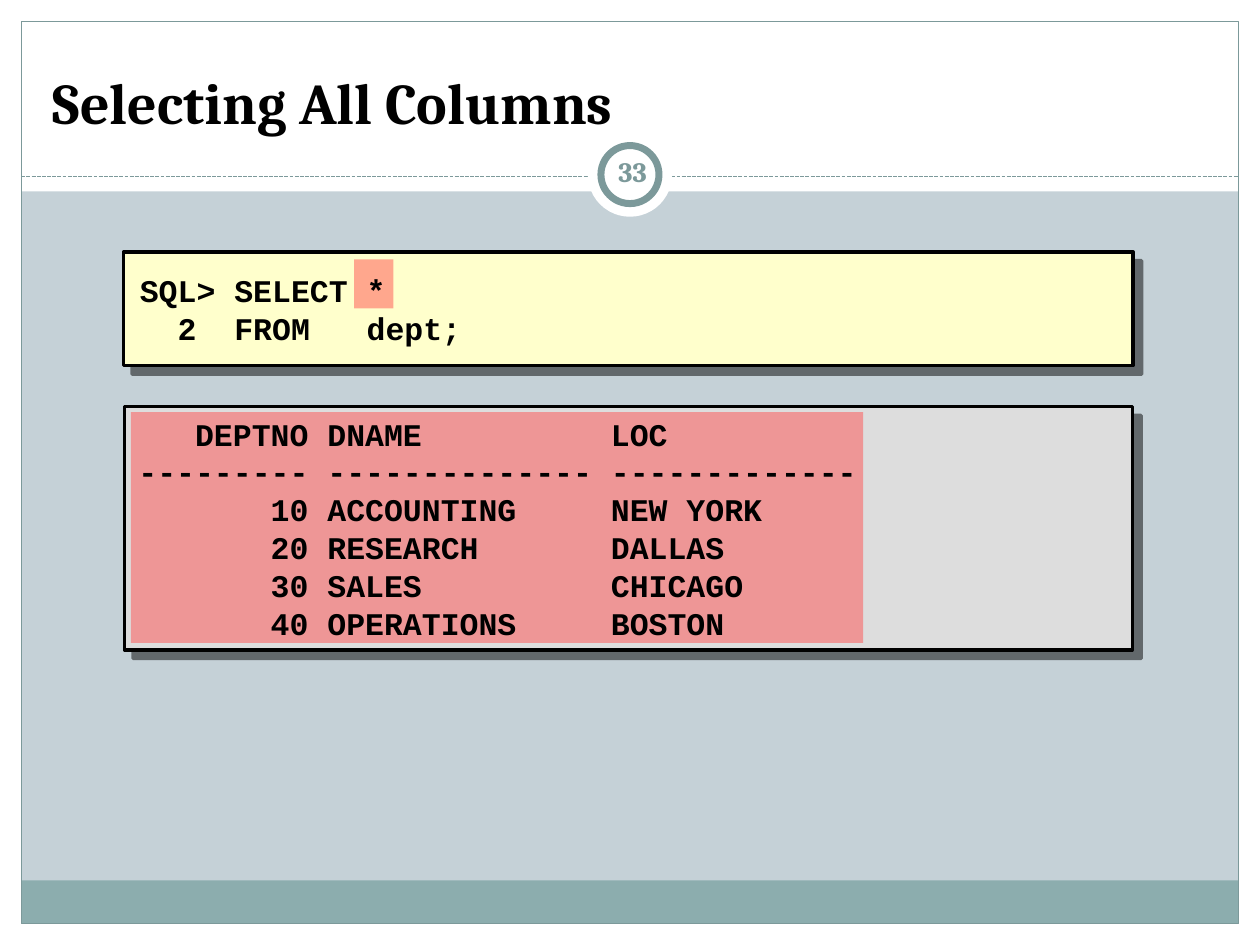
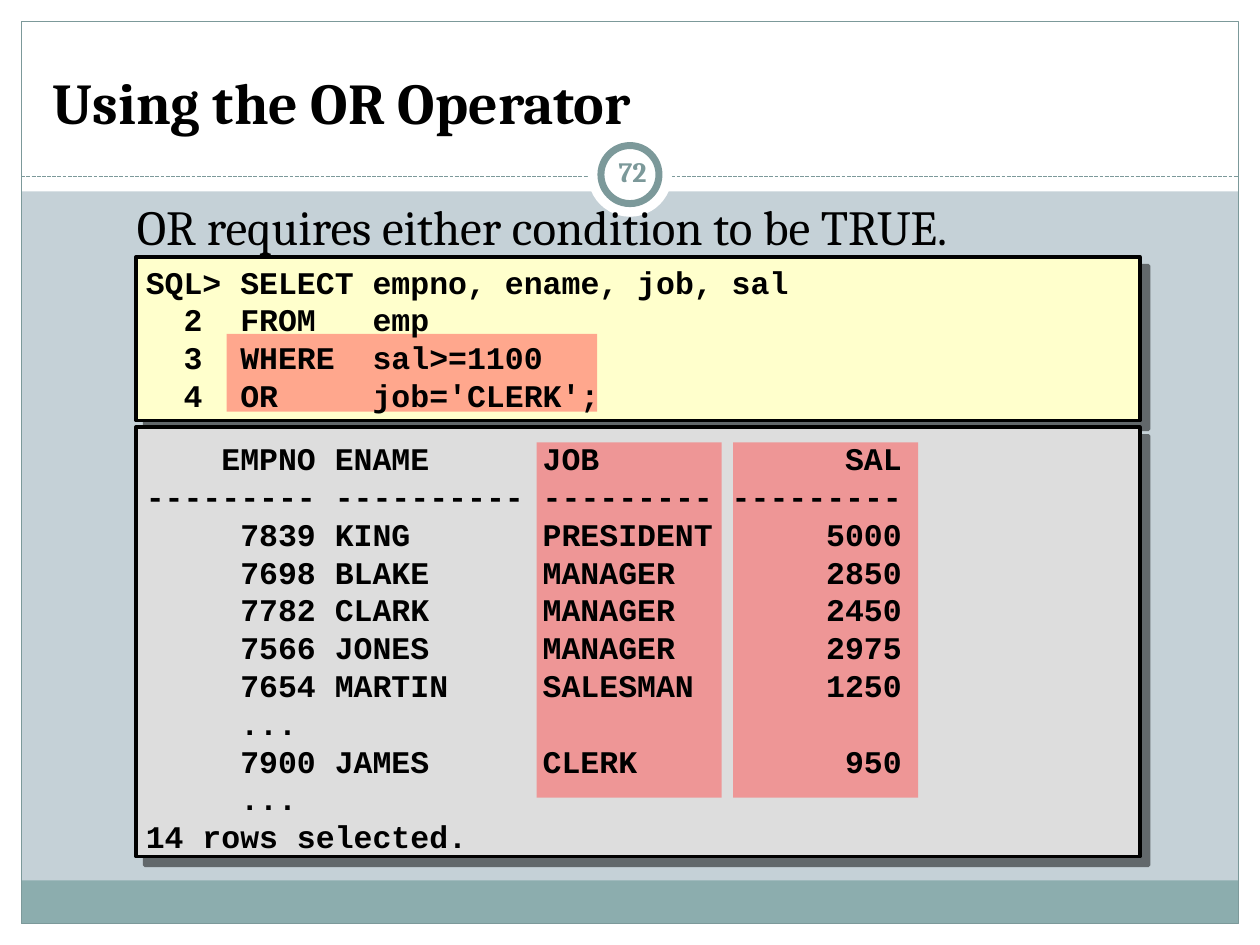
from dataclasses import dataclass

from lxml import etree
from pptx import Presentation
from pptx.dml.color import RGBColor
from pptx.enum.dml import MSO_LINE
from pptx.enum.shapes import MSO_CONNECTOR, MSO_SHAPE
from pptx.enum.text import MSO_ANCHOR, PP_ALIGN
from pptx.oxml.ns import qn
from pptx.util import Cm, Pt

RECTANGLE, ELLIPSE = MSO_SHAPE.RECTANGLE, MSO_SHAPE.OVAL
STRAIGHT, DASHED = MSO_CONNECTOR.STRAIGHT, MSO_LINE.SQUARE_DOT
TOP, MIDDLE, BOTTOM = MSO_ANCHOR.TOP, MSO_ANCHOR.MIDDLE, MSO_ANCHOR.BOTTOM
LEFT, CENTER = PP_ALIGN.LEFT, PP_ALIGN.CENTER

WIDTH, HEIGHT, MARGIN = 25.4, 19.05, 0.43
BADGE_X, BADGE_Y = WIDTH / 2, 3.52
CHARACTER = 0.381  # width of one listing character in cm


@dataclass(frozen=True)
class Theme:
    background: str = "C5D1D7"
    white: str = "FFFFFF"
    black: str = "000000"
    accent: str = "7C999A"
    footer: str = "8CADAE"
    code: str = "FFFFCC"
    result: str = "DDDDDD"
    highlight: str = "FF5050"
    serif: str = "Cambria"
    mono: str = "Courier New"
    title_size: int = 33
    body_size: int = 28
    listing_size: int = 18
    number_size: int = 16


class Deck:
    def __init__(self, theme):
        self.theme = theme
        self.presentation = Presentation()
        self.presentation.slide_width = Cm(WIDTH)
        self.presentation.slide_height = Cm(HEIGHT)
        self.slide = None

    def start_slide(self, title):
        theme = self.theme
        self.slide = self.presentation.slides.add_slide(self.presentation.slide_layouts[6])
        background = self.slide.background.fill
        background.solid()
        background.fore_color.rgb = RGBColor.from_string(theme.background)

        for band in ((0, HEIGHT - MARGIN, WIDTH, MARGIN), (0, 0, WIDTH, 3.86),
                     (0, 0, MARGIN, HEIGHT), (WIDTH - MARGIN, 0, MARGIN, HEIGHT)):
            self.shape(band, theme.white)
        inner_width = WIDTH - 2 * MARGIN
        self.shape((MARGIN, 17.75, inner_width, 0.87), theme.footer)
        self.shape((MARGIN, MARGIN, inner_width, HEIGHT - 2 * MARGIN),
                   line=theme.accent, weight=0.75)
        self.dashed_rule(3.56)
        self.badge_circle(1.7)
        self.badge_circle(1.17, theme.accent, 4)
        self.text((0.84, 0.64, 23.7, 2.11), [title], theme.title_size,
                  bold=True, anchor=BOTTOM, insets=(0.22, 0))

    def shape(self, box, fill=None, line=None, weight=1, kind=RECTANGLE):
        shape = self.slide.shapes.add_shape(kind, *map(Cm, box))
        shape.shadow.inherit = False
        if fill:
            shape.fill.solid()
            shape.fill.fore_color.rgb = RGBColor.from_string(fill)
        else:
            shape.fill.background()
        if line:
            shape.line.color.rgb = RGBColor.from_string(line)
            shape.line.width = Pt(weight)
        else:
            shape.line.fill.background()
        return shape

    def badge_circle(self, diameter, line=None, weight=1):
        box = (BADGE_X - diameter / 2, BADGE_Y - diameter / 2, diameter, diameter)
        self.shape(box, self.theme.white, line, weight, ELLIPSE)

    def dashed_rule(self, y):
        rule = self.slide.shapes.add_connector(
            STRAIGHT, Cm(MARGIN), Cm(y), Cm(WIDTH - MARGIN), Cm(y))
        rule.line.color.rgb = RGBColor.from_string(self.theme.accent)
        rule.line.width = Pt(0.75)
        rule.line.dash_style = DASHED
        etree.SubElement(rule._element.spPr, qn("a:effectLst"))

    def panel(self, box, fill):
        """Outlined box with a hard shadow to the lower right."""
        panel = self.shape(box, fill, self.theme.black, 2)
        effects = panel._element.spPr.find(qn("a:effectLst"))
        shadow = etree.SubElement(effects, qn("a:outerShdw"), blurRad="0",
                                  dist=str(Pt(7.1)), dir="2700000", rotWithShape="0")
        color = etree.SubElement(shadow, qn("a:srgbClr"), val=self.theme.black)
        etree.SubElement(color, qn("a:alpha"), val="50000")

    def highlight(self, *box):
        shape = self.shape(box, self.theme.highlight)
        color = shape._element.spPr.find(qn("a:solidFill"))[0]
        etree.SubElement(color, qn("a:alpha"), val="50000")

    def text(self, box, lines, size, font=None, color=None, bold=False, anchor=TOP,
             align=LEFT, insets=(0.25, 0.13), stops=(), indent=0, spacing=None):
        frame = self.slide.shapes.add_textbox(*map(Cm, box)).text_frame
        frame.word_wrap = True
        frame.vertical_anchor = anchor
        frame.margin_left = frame.margin_right = Cm(insets[0])
        frame.margin_top = frame.margin_bottom = Cm(insets[1])
        for index, line in enumerate(lines):
            paragraph = frame.paragraphs[0] if index == 0 else frame.add_paragraph()
            paragraph.text = line
            if "\t" in line:
                # An ellipsis row starts where the four-digit numbers start.
                self.tab_stops(paragraph, [("l", 5)] if line == "\t..." else stops)
            if indent:
                paragraph._p.get_or_add_pPr().set("marL", str(Cm(indent)))
            if spacing:
                paragraph.line_spacing = spacing
            paragraph.alignment = align
            paragraph.font.name = font or self.theme.serif
            paragraph.font.size = Pt(size)
            paragraph.font.bold = bold
            paragraph.font.color.rgb = RGBColor.from_string(color or self.theme.black)

    @staticmethod
    def tab_stops(paragraph, stops):
        """Set tab stops given as (alignment, character column)."""
        tabs = etree.SubElement(paragraph._p.get_or_add_pPr(), qn("a:tabLst"))
        for alignment, column in stops:
            etree.SubElement(tabs, qn("a:tab"), pos=str(Cm(column * CHARACTER)), algn=alignment)

    def listing(self, box, lines, stops, anchor=MIDDLE):
        self.text(box, lines, self.theme.listing_size, self.theme.mono,
                  bold=True, anchor=anchor, stops=stops)

    def number(self, number):
        self.text((12.12, 2.84, 1.27, 1.22), [str(number)], self.theme.number_size,
                  color=self.theme.accent, bold=True, anchor=MIDDLE, align=CENTER,
                  insets=(0.13, 0.13))


CODE_STOPS = [("r", 3), ("l", 5), ("l", 12)]


def build_all_columns(deck):
    deck.start_slide("Selecting All Columns")
    deck.panel((2.51, 8.2, 20.32, 4.9), deck.theme.result)
    deck.panel((2.49, 5.08, 20.35, 2.29), deck.theme.code)
    deck.highlight(7.14, 5.23, 0.79, 0.99)
    deck.highlight(2.64, 8.31, 14.76, 4.65)
    deck.listing((2.54, 8.23, 20.24, 4.83), [
        "\tDEPTNO\tDNAME\tLOC",
        "--------- -------------- -------------",
        "\t10\tACCOUNTING\tNEW YORK",
        "\t20\tRESEARCH\tDALLAS",
        "\t30\tSALES\tCHICAGO",
        "\t40\tOPERATIONS\tBOSTON",
    ], [("r", 9), ("l", 10), ("l", 25)], anchor=TOP)
    deck.listing((2.57, 5.05, 20.22, 2.36),
                 ["SQL> SELECT *", "\t2\tFROM\tdept;"], CODE_STOPS)
    deck.number(33)


def build_or_operator(deck):
    deck.start_slide("Using the OR Operator")
    deck.panel((2.74, 5.18, 20.24, 3.3), deck.theme.code)
    deck.panel((2.74, 8.61, 20.24, 8.66), deck.theme.result)
    deck.text((2.21, 3.91, 21.46, 1.4), ["OR requires either condition to be TRUE."],
              deck.theme.body_size, indent=0.3, spacing=0.95)
    deck.highlight(4.57, 6.73, 7.47, 1.57)
    for column_left in (10.82, 14.78):
        deck.highlight(column_left, 8.92, 3.73, 7.16)
    deck.listing((2.69, 5.13, 20.32, 3.38), [
        "SQL> SELECT empno, ename, job, sal",
        "\t2\tFROM\temp",
        "\t3\tWHERE\tsal>=1100",
        "\t4\tOR\tjob='CLERK';",
    ], CODE_STOPS)
    deck.listing((2.69, 9.07, 20.32, 7.95), [
        "\tEMPNO\tENAME\tJOB\tSAL",
        "--------- ---------- --------- ---------",
        "\t7839\tKING\tPRESIDENT\t5000",
        "\t7698\tBLAKE\tMANAGER\t2850",
        "\t7782\tCLARK\tMANAGER\t2450",
        "\t7566\tJONES\tMANAGER\t2975",
        "\t7654\tMARTIN\tSALESMAN\t1250",
        "\t...",
        "\t7900\tJAMES\tCLERK\t950",
        "\t...",
        "14 rows selected.",
    ], [("r", 9), ("l", 10), ("l", 21), ("r", 40)])
    deck.number(72)


def main():
    deck = Deck(Theme())
    build_all_columns(deck)
    build_or_operator(deck)
    deck.presentation.save("out.pptx")


if __name__ == "__main__":
    main()
